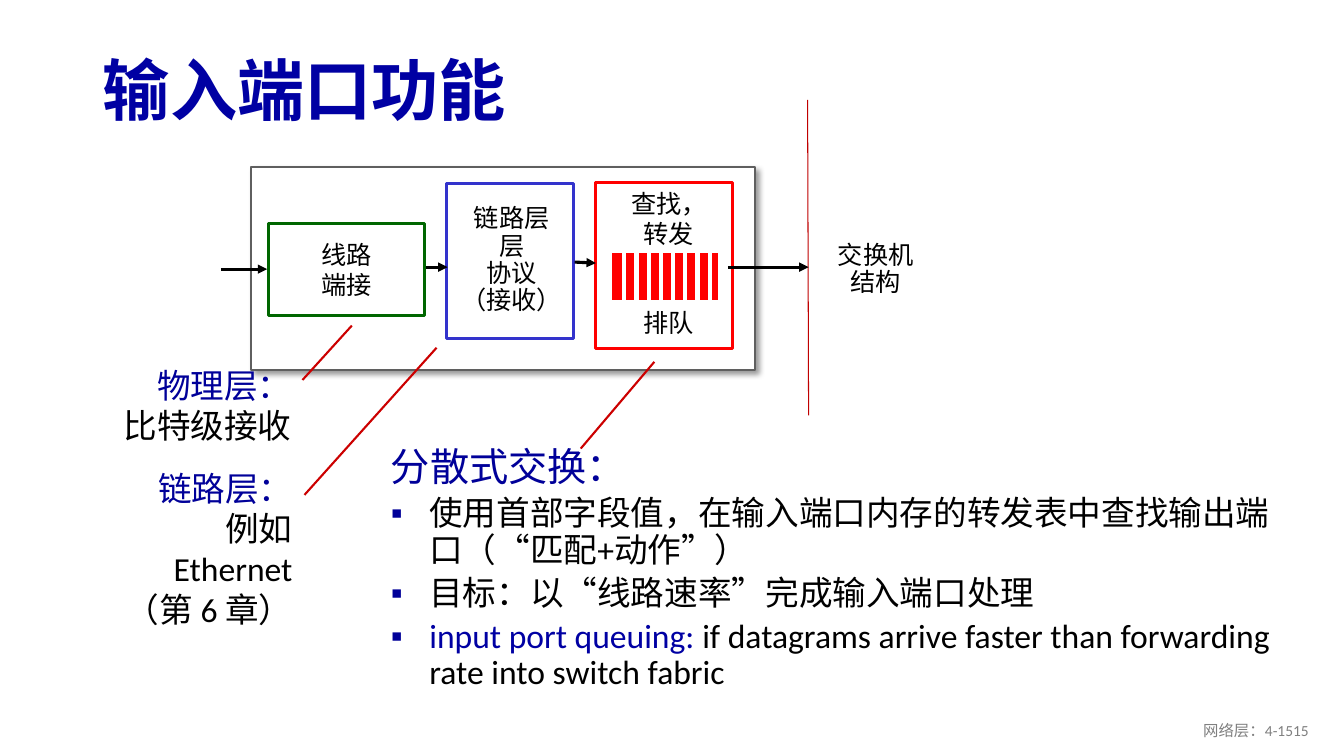
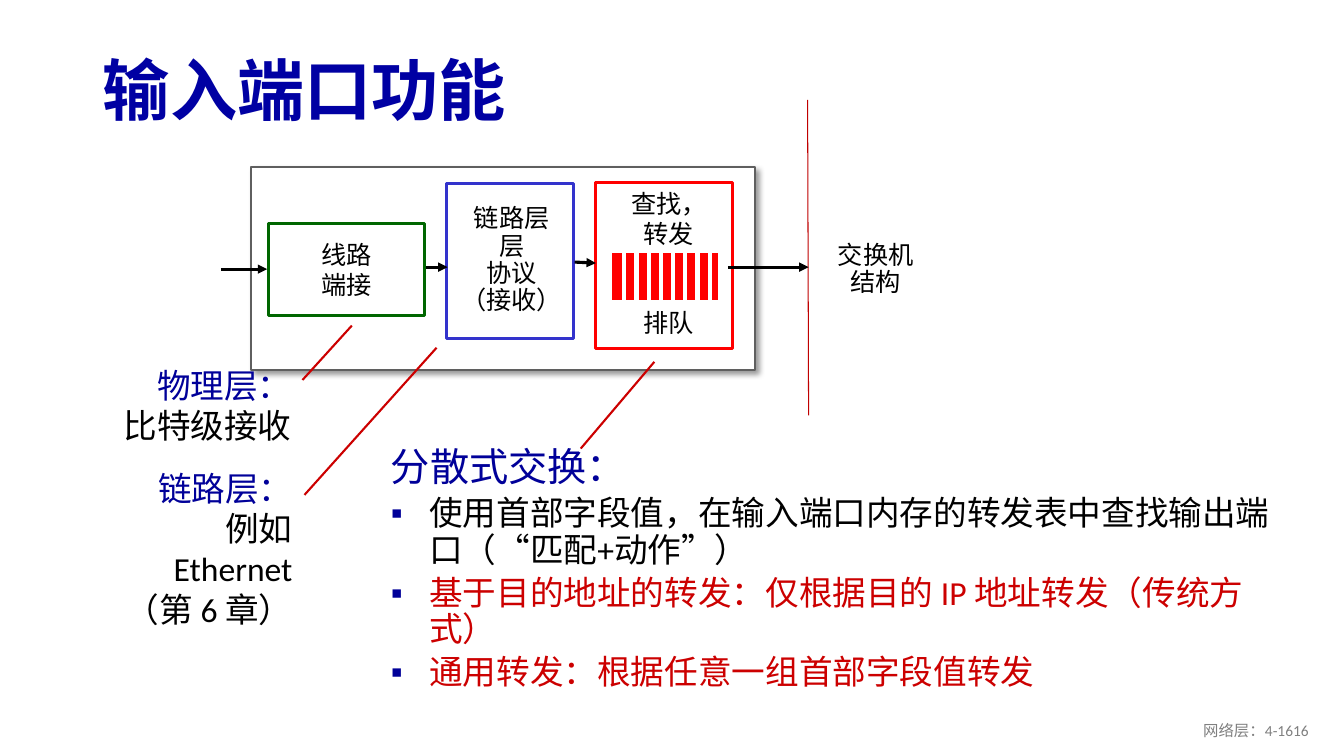
import pptx
import pptx.util
import pptx.oxml.ns
import pptx.dml.color
import pptx.enum.text
import pptx.enum.shapes
from lxml import etree

INK = {
    "title": "0000A3", "term": "000099", "text": "000000", "paper": "FFFFFF",
    "frame": "5F5F5F", "green": "006600", "blue": "3333CC", "red": "FF0000",
    "lead": "CC0000", "wall": "C00000", "foot": "808080",
}
TITLE = "输入端口功能"
HEAD = [("分散式交换：", "term")]
MATCH = [("使用首部字段值，在输入端口内存的转发表中查找输出端口（“匹配+动作”）", "text")]
PAGES = [
    ("网络层：4-1515", [
        MATCH,
        [("目标：以“线路速率”完成输入端口处理", "text")],
        [("input port queuing: ", "title"),
         ("if datagrams arrive faster than forwarding rate into switch fabric", "text")],
    ]),
    ("网络层：4-1616", [
        MATCH,
        [("基于目的地址的转发：仅根据目的 IP 地址转发（传统方式）", "lead")],
        [("通用转发：根据任意一组首部字段值转发", "lead")],
    ]),
]
BOXES = [
    ((2.66, 2.22, 1.55, 0.91), "paper", "green", ["线路", "端接"], 1),
    ((4.43, 1.82, 1.26, 1.54), "paper", "blue", [], 1),
    ((5.91, 1.81, 1.36, 1.65), "paper", "red", [], 1),
    ((8.11, 2.22, 1.15, 0.91), "paper", None, ["交换机", "结构"], 0.9),
    ((4.5, 2.13, 1.15, 0.91), None, None, ["链路层", "层", "协议", "（接收）"], 0.9),
]
LOOKUP = ["查找，", "转发", "排队"]
NOTES = [
    ((0.28, 3.57, 2.71, 0.91), ["物理层：", "比特级接收"]),
    ((0.95, 4.59, 2.05, 1.71), ["链路层：", "例如", "Ethernet", "（第 6 章）"]),
]
ARROWS = [
    (2.19, 2.67, 2.65, 2.67), (4.23, 2.65, 4.44, 2.65),
    (5.7, 2.6, 5.91, 2.61), (7.22, 2.65, 8.02, 2.65),
]
LEADS = [(3, 3.77, 3.49, 3.23), (3.02, 4.91, 4.33, 3.45), (5.76, 4.45, 6.49, 3.59)]
WALL = (8.01, 0.99, 8.02, 4.12)
QUEUE = (6.05, 2.49, 1.09, 0.51)
SLOTS = 9

Pt = pptx.util.Pt
ALIGN = pptx.enum.text.PP_ALIGN
ANCHOR = pptx.enum.text.MSO_ANCHOR


def inch(nums):
    return [pptx.util.Inches(n) for n in nums]


def tint(name):
    return pptx.dml.color.RGBColor.from_string(INK[name])


def node(root, tag, **attrs):
    return etree.SubElement(root, pptx.oxml.ns.qn("a:" + tag), attrs)


def style(para, size, color=None, face="Calibri", bold=False):
    font = para.font
    font.size, font.name, font.bold = Pt(size), face, bold
    if color:
        font.color.rgb = tint(color)


def fill(frame, texts, size, colors, align, face="Calibri", gap=1):
    for i, text in enumerate(texts):
        para = frame.paragraphs[0] if i == 0 else frame.add_paragraph()
        para.text, para.alignment, para.line_spacing = text, align, gap
        style(para, size, colors[min(i, len(colors) - 1)], face)


def panel(slide, place, paper, edge, width=2.25):
    shape = slide.shapes.add_shape(pptx.enum.shapes.MSO_SHAPE.RECTANGLE, *inch(place))
    shape.shadow.inherit = False
    if paper:
        shape.fill.solid()
        shape.fill.fore_color.rgb = tint(paper)
    else:
        shape.fill.background()
    if edge:
        shape.line.color.rgb = tint(edge)
        shape.line.width = Pt(width)
    else:
        shape.line.fill.background()
    frame = shape.text_frame
    frame.margin_left = frame.margin_right = 0
    frame.vertical_anchor = ANCHOR.MIDDLE
    return shape


def label(slide, place):
    frame = slide.shapes.add_textbox(*inch(place)).text_frame
    frame.word_wrap = True
    return frame


def line(slide, ends, color, width, arrow=False):
    link = slide.shapes.add_connector(
        pptx.enum.shapes.MSO_CONNECTOR.STRAIGHT, *inch(ends))
    link.line.color.rgb = tint(color)
    link.line.width = Pt(width)
    if arrow:
        node(link.line._get_or_add_ln(), "tailEnd", type="triangle")
    node(link._element.spPr, "effectLst")


def shade(shape):
    root = shape._element.spPr.find(pptx.oxml.ns.qn("a:effectLst"))
    cast = node(root, "outerShdw", blurRad=str(Pt(4)), dist=str(Pt(3)),
                dir=str(45 * 60000), algn="tl", rotWithShape="0")
    node(node(cast, "srgbClr", val=INK["text"]), "alpha", val="40000")


def queue(slide):
    panel(slide, QUEUE, "red", "paper", 3)
    left, top, width, high = QUEUE
    for i in range(1, SLOTS):
        x = left + 0.02 + width * i / SLOTS
        line(slide, (x, top + 0.01, x, top + high - 0.01), "paper", 3)


def points(slide, items):
    frame = label(slide, (3.78, 4.39, 8.96, 2.92))
    for i, runs in enumerate([HEAD] + items):
        para = frame.add_paragraph() if i else frame.paragraphs[0]
        para.line_spacing = 0.9
        if i:
            para.space_before = Pt(5)
            props = para._p.get_or_add_pPr()
            props.set("marL", str(pptx.util.Inches(0.38)))
            props.set("indent", str(pptx.util.Inches(-0.38)))
            node(node(props, "buClr"), "srgbClr", val=INK["term"])
            node(props, "buFont", typeface="Arial")
            node(props, "buChar", char="▪")
        style(para, 24 if i else 28)
        for text, color in runs:
            run = para.add_run()
            run.text = text
            run.font.color.rgb = tint(color)


def diagram(slide):
    shade(panel(slide, (2.49, 1.66, 5, 2.01), "paper", "frame", 1.5))
    line(slide, WALL, "wall", 0.75)
    for place, paper, edge, texts, gap in BOXES:
        shape = panel(slide, place, paper, edge)
        fill(shape.text_frame, texts, 18, ["text"], ALIGN.CENTER, "Arial", gap)
    frame = label(slide, (5.95, 1.82, 1.37, 1.6))
    fill(frame, LOOKUP, 18, ["text"], ALIGN.CENTER, "Arial")
    frame.paragraphs[-1].space_before = Pt(42)
    queue(slide)
    for ends in ARROWS:
        line(slide, ends, "text", 2.25, True)
    for ends in LEADS:
        line(slide, ends, "lead", 1.5)
    for place, texts in NOTES:
        fill(label(slide, place), texts, 24, ["term", "text"], ALIGN.RIGHT)


def build(deck, foot, items):
    slide = deck.slides.add_slide(deck.slide_layouts[5])
    title = slide.shapes.title
    title.left, title.top, title.width, title.height = inch((0.92, 0.44, 11.5, 0.98))
    title.text_frame.text = TITLE
    title.text_frame.vertical_anchor = ANCHOR.MIDDLE
    para = title.text_frame.paragraphs[0]
    para.alignment, para.line_spacing = ALIGN.LEFT, 0.9
    style(para, 48, "title", bold=True)
    diagram(slide)
    points(slide, items)
    frame = label(slide, (10.08, 7.05, 3, 0.4))
    frame.vertical_anchor = ANCHOR.MIDDLE
    fill(frame, [foot], 11, ["foot"], ALIGN.RIGHT)


def main():
    deck = pptx.Presentation()
    deck.slide_width, deck.slide_height = inch((13.33, 7.5))
    for foot, items in PAGES:
        build(deck, foot, items)
    deck.save("out.pptx")


if __name__ == "__main__":
    main()
